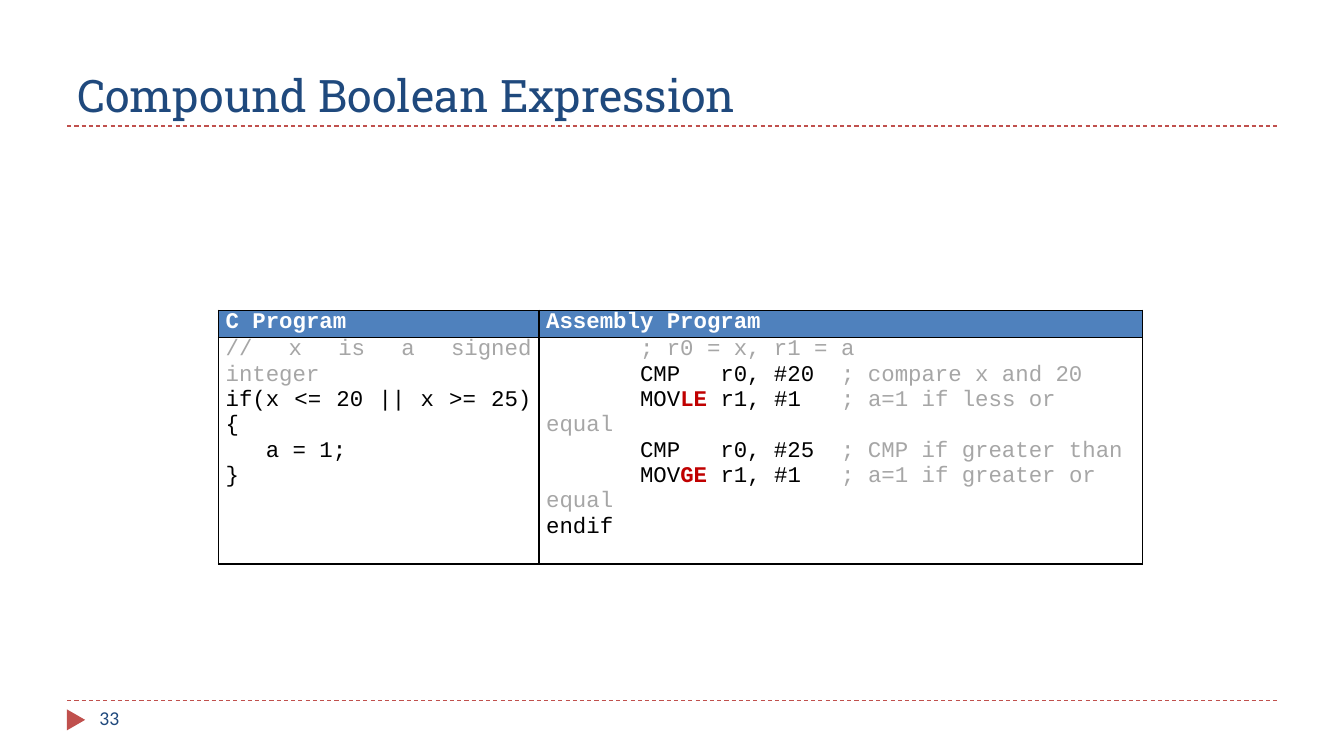
from pptx import Presentation
from pptx.dml.color import RGBColor as RGB
from pptx.enum.dml import MSO_LINE as Dash
from pptx.enum.shapes import MSO_CONNECTOR as Link, MSO_SHAPE as Shape
from pptx.enum.text import MSO_ANCHOR as Anchor, PP_ALIGN as Align
from pptx.oxml import parse_xml
from pptx.oxml.ns import nsdecls
from pptx.util import Pt

NAVY = RGB(0x1F, 0x49, 0x7D)
BRICK = RGB(0xC0, 0x50, 0x4D)
BLUE = RGB(0x4F, 0x81, 0xBD)
GRAY = RGB(0xA6, 0xA6, 0xA6)
RED = RGB(0xC0, 0x00, 0x00)
BLACK = RGB(0, 0, 0)
WHITE = RGB(255, 255, 255)

HEADS = ["C Program", "Assembly Program"]

# Each line of code is a list of (text, colour) runs
C_CODE = [
    [("// x is a signed integer", GRAY)],
    [("if(x <= 20 || x >= 25){", BLACK)],
    [("   a = 1;", BLACK)],
    [("}", BLACK)],
]
ASM_CODE = [
    [("       ; r0 = x, r1 = a", GRAY)],
    [("       CMP   r0, #20  ", BLACK), ("; compare x and 20", GRAY)],
    [("       MOV", BLACK), ("LE ", RED), ("r1, #1   ", BLACK),
     ("; a=1 if less or equal", GRAY)],
    [("       CMP   r0, #25  ", BLACK), ("; CMP if greater than", GRAY)],
    [("       MOV", BLACK), ("GE ", RED), ("r1, #1   ", BLACK),
     ("; a=1 if greater or equal", GRAY)],
    [("endif", BLACK)],
]


def add_rule(slide, left, top, width):
    """Dashed line across the slide."""
    rule = slide.shapes.add_connector(
        Link.STRAIGHT, Pt(left), Pt(top), Pt(left + width), Pt(top))
    rule.line.color.rgb = BRICK
    rule.line.width = Pt(0.75)
    rule.line.dash_style = Dash.DASH
    props = rule._element.spPr
    props.append(parse_xml(f"<a:effectLst {nsdecls('a')}/>"))


def add_label(slide, text, box, font, size, anchor):
    label = slide.shapes.add_textbox(*map(Pt, box))
    frame = label.text_frame
    frame.word_wrap = True
    frame.vertical_anchor = anchor
    para = frame.paragraphs[0]
    para.text = text
    para.font.name = font
    para.font.size = Pt(size)
    para.font.color.rgb = NAVY


def add_title(slide, left, top, width, height):
    add_rule(slide, left, top + height, width)
    add_label(slide, "Compound Boolean Expression",
              (left, top, width, height), "Roboto Slab", 32, Anchor.BOTTOM)


def add_footer(slide, left, top, width):
    add_rule(slide, left, top, width)
    # Marker pointing at the page number
    mark = slide.shapes.add_shape(
        Shape.ISOSCELES_TRIANGLE, Pt(left - 1.2), Pt(top + 7.3), Pt(15), Pt(13))
    mark.rotation = 90
    mark.shadow.inherit = False
    mark.fill.solid()
    mark.fill.fore_color.rgb = BRICK
    mark.line.fill.background()
    add_label(slide, "33", (left + 16, top, 208, 29),
              "Calibri", 14, Anchor.TOP)


def add_border(cell):
    props = cell._tc.get_or_add_tcPr()
    for side in ("lnL", "lnR", "lnT", "lnB"):
        props.append(parse_xml(
            f'<a:{side} {nsdecls("a")} w="{Pt(1)}"><a:solidFill>'
            f'<a:srgbClr val="{BLACK}"/></a:solidFill></a:{side}>'))


def fill_cell(cell, lines, align, back=None):
    cell.margin_left = cell.margin_right = Pt(5.2)
    cell.margin_top = cell.margin_bottom = 0
    add_border(cell)
    if back is None:
        cell.fill.background()
    else:
        cell.fill.solid()
        cell.fill.fore_color.rgb = back
    frame = cell.text_frame
    for i, line in enumerate(lines):
        para = frame.add_paragraph() if i else frame.paragraphs[0]
        para.alignment = align
        para.font.name = "Courier New"
        para.font.size = Pt(16)
        for text, color in line:
            run = para.add_run()
            run.text = text
            run.font.color.rgb = color
            run.font.bold = color in (RED, WHITE)


def add_code(slide, left, top, width, height):
    frame = slide.shapes.add_table(
        2, 2, Pt(left), Pt(top), Pt(width), Pt(height))
    table = frame.table
    table.first_row = table.horz_banding = False
    first, head = 229, 18.2
    for col, size in zip(table.columns, (first, width - first)):
        col.width = Pt(size)
    for row, size in zip(table.rows, (head, height - head)):
        row.height = Pt(size)
    # Header row, then the two programs
    for i, text in enumerate(HEADS):
        fill_cell(table.cell(0, i), [[(text, WHITE)]], Align.JUSTIFY, BLUE)
    fill_cell(table.cell(1, 0), C_CODE, Align.JUSTIFY)
    fill_cell(table.cell(1, 1), ASM_CODE, Align.LEFT)


def main():
    deck = Presentation()
    deck.slide_width, deck.slide_height = Pt(960), Pt(540)
    slide = deck.slides.add_slide(deck.slide_layouts[6])
    add_title(slide, 48, 12, 864, 78)
    add_code(slide, 156, 221.6, 660, 180.2)
    add_footer(slide, 48, 500.4, 864)
    deck.save("out.pptx")


if __name__ == "__main__":
    main()
